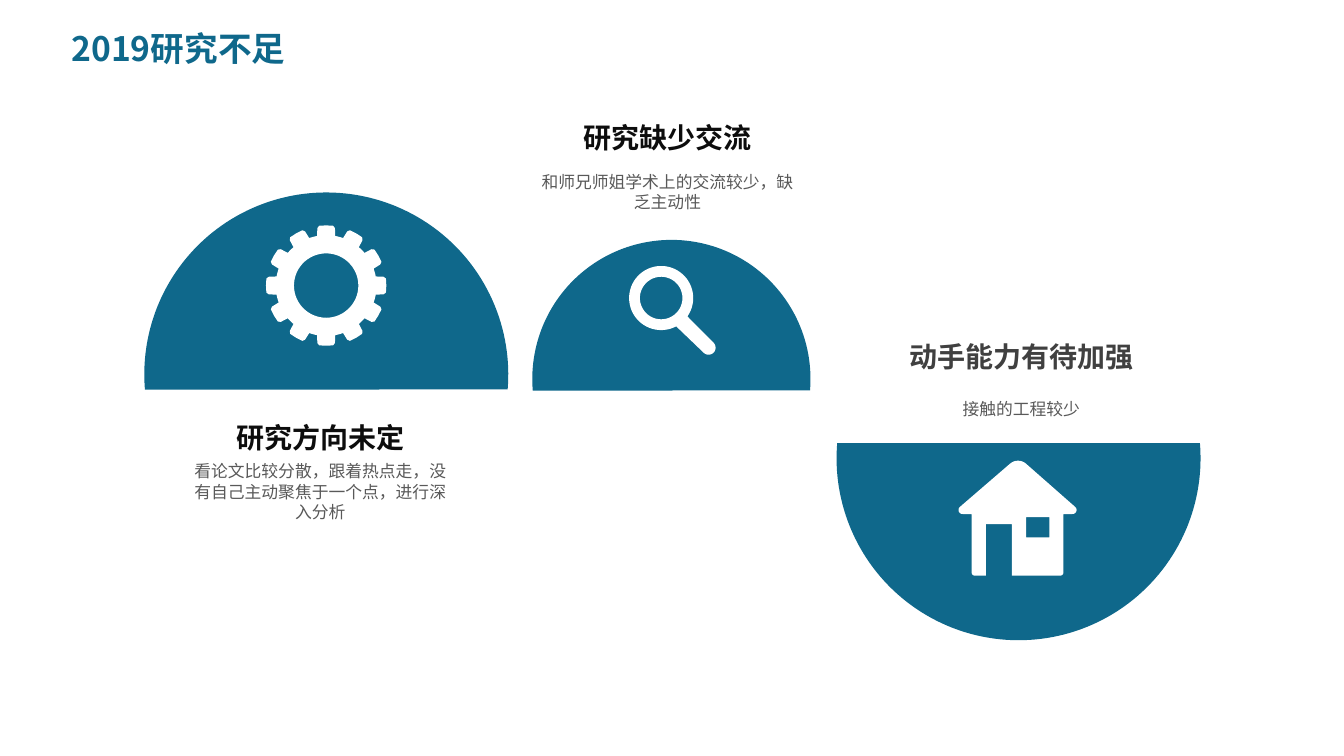
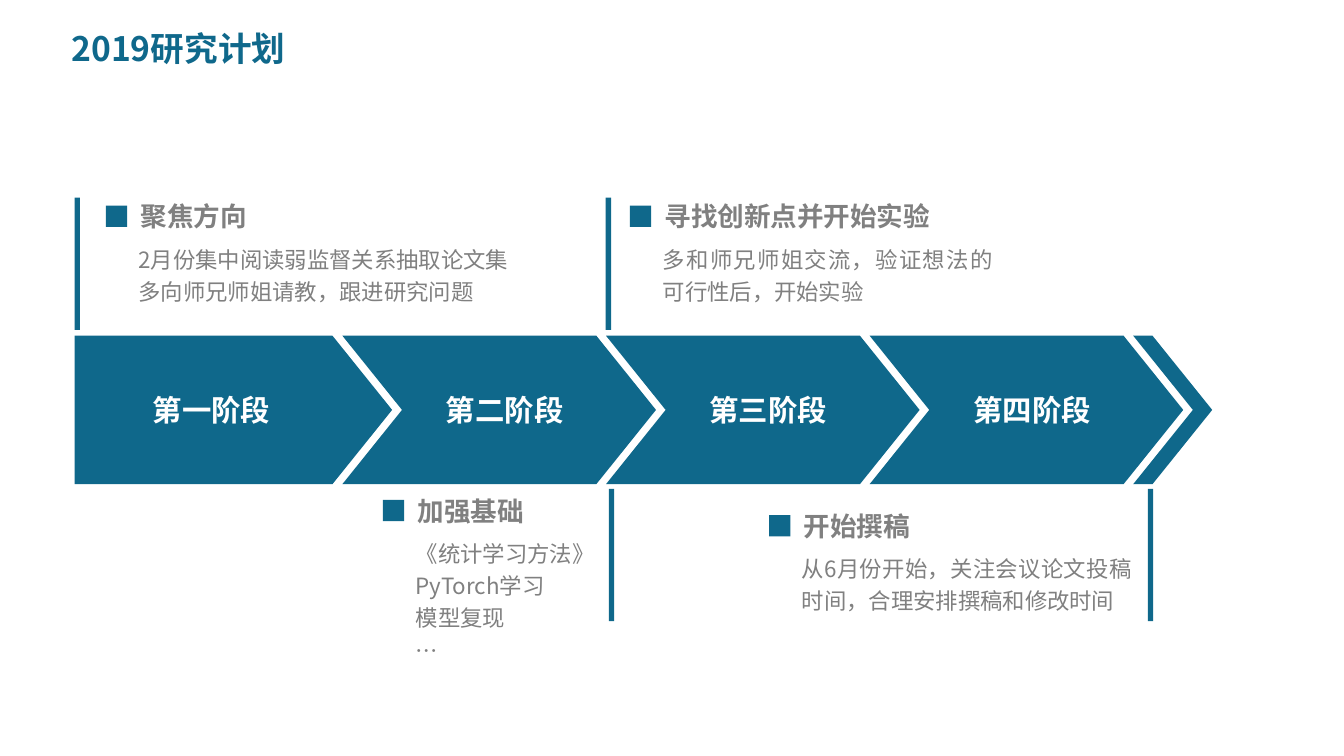
from dataclasses import dataclass
from itertools import chain
from math import cos, radians, sin

from lxml import etree
from pptx import Presentation
from pptx.dml.color import RGBColor
from pptx.enum.shapes import MSO_SHAPE
from pptx.enum.text import MSO_ANCHOR, MSO_AUTO_SIZE, PP_ALIGN
from pptx.oxml.ns import qn
from pptx.util import Pt

CHORD, CHEVRON, PENTAGON, RECT = (
    MSO_SHAPE.CHORD, MSO_SHAPE.CHEVRON, MSO_SHAPE.PENTAGON, MSO_SHAPE.RECTANGLE)
CENTER, LEFT, JUSTIFY = PP_ALIGN.CENTER, PP_ALIGN.LEFT, PP_ALIGN.JUSTIFY
TOP, MIDDLE = MSO_ANCHOR.TOP, MSO_ANCHOR.MIDDLE
NO_AUTOFIT = MSO_AUTO_SIZE.NONE
TITLE_ONLY, FOUR_BODIES = 5, 4

Point = tuple[float, float]
Box = tuple[float, float, float, float]
Insets = tuple[float, float, float, float]
NO_INSETS: Insets = (0, 0, 0, 0)
TEXT_INSETS: Insets = (9.6, 4.8, 9.6, 4.8)


@dataclass(frozen=True)
class TextStyle:
    size: float
    color: str
    bold: bool = False
    align: PP_ALIGN = CENTER
    spacing: float = 1.0
    latin: str = "Noto Sans CJK SC"


@dataclass(frozen=True)
class Theme:
    accent: str = "0F688B"
    white: str = "FFFFFF"
    east_asian: str = "Noto Sans CJK SC"
    title: TextStyle = TextStyle(24, "0F688B", True, JUSTIFY, 0.9)
    topic: TextStyle = TextStyle(20, "0D0D0D", True)
    topic_soft: TextStyle = TextStyle(20, "404040", True)
    note: TextStyle = TextStyle(12, "595959", latin="Arial Narrow")
    note_soft: TextStyle = TextStyle(12, "595959")
    stage: TextStyle = TextStyle(21, "FFFFFF", True)
    goal: TextStyle = TextStyle(19, "808080", True, LEFT)
    steps: TextStyle = TextStyle(16, "808080", False, JUSTIFY, 1.2)


THEME = Theme()


@dataclass(frozen=True)
class Shortfall:
    heading: str
    heading_style: TextStyle
    note: str
    note_style: TextStyle
    center: float
    heading_y: float
    note_y: float
    dome: tuple[float, float, float]  # left, top, diameter
    dome_turn: float
    icon: list[list[Point]]


@dataclass(frozen=True)
class Goal:
    heading: str
    steps: str
    left: float
    top: float
    steps_width: float
    steps_height: float
    bar: Point


def arc(center: Point, radius: float, start: float, end: float, pieces: int = 12) -> list[Point]:
    """Points on a circle, with angles in degrees clockwise from the right."""
    angles = [radians(start + (end - start) * i / pieces) for i in range(pieces + 1)]
    return [(center[0] + radius * cos(a), center[1] + radius * sin(a)) for a in angles]


def gear_icon() -> list[list[Point]]:
    center, tip, body, hole, teeth = (233, 204), 43, 36, 23, 12
    pitch = 360 / teeth
    outline: list[Point] = []
    for tooth in range(teeth):
        angle = tooth * pitch
        outline += arc(center, tip - 1.5, angle - 8.7, angle - 8.7, 1)
        outline += arc(center, tip, angle - 6.7, angle + 6.7, 2)
        outline += arc(center, tip - 1.5, angle + 8.7, angle + 8.7, 1)
        outline += arc(center, body, angle + 10.4, angle + pitch - 10.4, 3)
    return [outline, arc(center, hole, 0, 360, 60)]


def magnifier_icon() -> list[list[Point]]:
    lens = (472.3, 212.9)
    handle = arc((506.2, 248.4), 5, -45, 135)
    return [arc(lens, 22.9, 62, 395, 60) + handle, arc(lens, 15.2, 0, 360, 48)]


def house_icon() -> list[list[Point]]:
    eaves, floor = 367.2, 411.2
    outline = [
        *arc((687.6, 364.3), 2.9, 90, 230),
        *arc((727.2, 337.7), 8.6, 230, 310),
        *arc((766.1, 364.3), 2.9, -50, 90),
        (759.6, eaves), *arc((757.4, 409), 2.2, 0, 90),
        (722.9, floor), (722.9, 374.4), (704.2, 374.4), (704.2, floor),
        *arc((696.3, 409), 2.2, 90, 180), (694.1, eaves),
    ]
    window = [(733, 369.4), (749.5, 369.4), (749.5, 383.8), (733, 383.8)]
    return [outline, window]


SHORTFALLS = [
    Shortfall("研究方向未定", THEME.topic,
              "看论文比较分散，跟着热点走，没有自己主动聚焦于一个点，进行深入分析", THEME.note,
              228.8, 312.5, 351, (103, 137.5, 260), 111, gear_icon()),
    Shortfall("研究缺少交流", THEME.topic,
              "和师兄师姐学术上的交流较少，缺乏主动性", THEME.note,
              476.8, 98, 136.8, (380.2, 171.4, 198.7), 111, magnifier_icon()),
    Shortfall("动手能力有待加强", THEME.topic_soft,
              "接触的工程较少", THEME.note_soft,
              729.5, 254.2, 292.3, (597.6, 197.3, 260), 291, house_icon()),
]

STAGES = ["第一阶段", "第二阶段", "第三阶段", "第四阶段"]

GOALS = [
    Goal("聚焦方向", "2月份集中阅读弱监督关系抽取论文集\n多向师兄师姐请教，跟进研究问题",
         75.6, 146.9, 296, 78, (53.3, 141.1)),
    Goal("寻找创新点并开始实验", "多和师兄师姐交流，验证想法的可行性后，开始实验",
         450, 146.9, 255, 54, (432.7, 141.1)),
    Goal("加强基础", "《统计学习方法》\nPyTorch学习\n模型复现\n…",
         273.6, 357.1, 165, 101, (434.9, 349.2)),
    Goal("开始撰稿", "从6月份开始，关注会议论文投稿时间，合理安排撰稿和修改时间",
         549.4, 367.9, 255, 78, (820, 349.2)),
]


def place(shape, box: Box) -> None:
    shape.left, shape.top, shape.width, shape.height = map(Pt, box)


def write(shape, text: str, style: TextStyle, insets: Insets = NO_INSETS,
          anchor: MSO_ANCHOR = MIDDLE, wrap: bool = True) -> None:
    frame = shape.text_frame
    frame.text = text
    frame.word_wrap = wrap
    frame.auto_size = NO_AUTOFIT
    frame.vertical_anchor = anchor
    (frame.margin_left, frame.margin_top,
     frame.margin_right, frame.margin_bottom) = map(Pt, insets)
    for paragraph in frame.paragraphs:
        paragraph.alignment = style.align
        paragraph.line_spacing = style.spacing
        paragraph.space_before = Pt(0)
        for run in paragraph.runs:
            font = run.font
            font.size, font.bold, font.name = Pt(style.size), style.bold, style.latin
            font.color.rgb = RGBColor.from_string(style.color)
            east_asian = etree.SubElement(run._r.get_or_add_rPr(), qn("a:ea"))
            east_asian.set("typeface", THEME.east_asian)


def remove_bullets(shape) -> None:
    for paragraph in shape.text_frame.paragraphs:
        properties = paragraph._p.get_or_add_pPr()
        properties.set("marL", "0")
        properties.set("indent", "0")
        etree.SubElement(properties, qn("a:buNone"))


def add_text(slide, box: Box, text: str, style: TextStyle, **layout) -> None:
    write(slide.shapes.add_textbox(*map(Pt, box)), text, style, **layout)


def paint(shape, color: str) -> None:
    shape.shadow.inherit = False
    shape.fill.solid()
    shape.fill.fore_color.rgb = RGBColor.from_string(color)
    shape.line.fill.background()


def add_filled(slide, kind: MSO_SHAPE, box: Box, *adjustments: float):
    shape = slide.shapes.add_shape(kind, *map(Pt, box))
    for i, value in enumerate(adjustments):
        shape.adjustments[i] = value
    paint(shape, THEME.accent)
    return shape


def add_icon(slide, contours: list[list[Point]]) -> None:
    outline, *holes = [[(Pt(x), Pt(y)) for x, y in contour] for contour in contours]
    builder = slide.shapes.build_freeform(*outline[0], scale=1.0)
    builder.add_line_segments(outline[1:], close=True)
    for hole in holes:
        builder.move_to(*hole[0])
        builder.add_line_segments(hole[1:], close=True)
    paint(builder.convert_to_shape(), THEME.white)


def add_titled_slide(deck, layout: int, title: str):
    slide = deck.slides.add_slide(deck.slide_layouts[layout])
    place(slide.shapes.title, (43.9, 16.6, 215.3, 39.6))
    write(slide.shapes.title, title, THEME.title, (7.2, 3.6, 7.2, 3.6))
    return slide


def add_shortfall(slide, item: Shortfall) -> None:
    width = 183.6
    left = item.center - width / 2
    add_text(slide, (left, item.heading_y - 12, width, 24), item.heading, item.heading_style)
    add_text(slide, (left, item.note_y - 22, width, 44), item.note, item.note_style)
    dome_left, dome_top, diameter = item.dome
    dome = add_filled(slide, CHORD, (dome_left, dome_top, diameter, diameter), 38.53, 152.23)
    dome.rotation = item.dome_turn
    add_icon(slide, item.icon)


def add_stage_band(slide) -> None:
    top, height, notch = 239.8, 106, 42.6
    first_left, first_width = 53.3, 226.8
    next_left, next_width, step, tail_width = 244.6, 224, 188.3, 56.4
    lefts = [next_left + i * step for i in range(len(STAGES))]
    widths = [next_width] * (len(STAGES) - 1) + [tail_width]
    spans = chain([(first_left, first_width)], zip(lefts, widths))
    for i, (left, width) in enumerate(spans):
        arrow = add_filled(slide, CHEVRON if i else PENTAGON, (left, top, width, height),
                           notch / min(width, height))
        if i < len(STAGES):
            insets = (8, 0, 0, 0) if i else (0, 0, 10, 0)
            write(arrow, STAGES[i], THEME.stage, insets)


def add_goal(slide, goal: Goal, steps) -> None:
    marker = 15.2
    heading_left = goal.left + marker
    add_filled(slide, RECT, (*goal.bar, 3.8, 94.5))
    add_filled(slide, RECT, (goal.left, goal.top, marker, marker))
    heading_width = len(goal.heading) * THEME.goal.size + 20
    add_text(slide, (heading_left, goal.top - 8.6, heading_width, 32.4), goal.heading,
             THEME.goal, insets=TEXT_INSETS, anchor=TOP, wrap=False)
    place(steps, (heading_left - 1.4, goal.top + 20, goal.steps_width, goal.steps_height))
    write(steps, goal.steps, THEME.steps, TEXT_INSETS, TOP)
    remove_bullets(steps)


def main() -> None:
    deck = Presentation()
    deck.slide_width, deck.slide_height = Pt(960), Pt(540)

    shortfalls = add_titled_slide(deck, TITLE_ONLY, "2019研究不足")
    for item in SHORTFALLS:
        add_shortfall(shortfalls, item)

    plan = add_titled_slide(deck, FOUR_BODIES, "2019研究计划")
    add_stage_band(plan)
    for i, goal in enumerate(GOALS, start=1):
        add_goal(plan, goal, plan.placeholders[i])

    deck.save("out.pptx")


if __name__ == "__main__":
    main()
